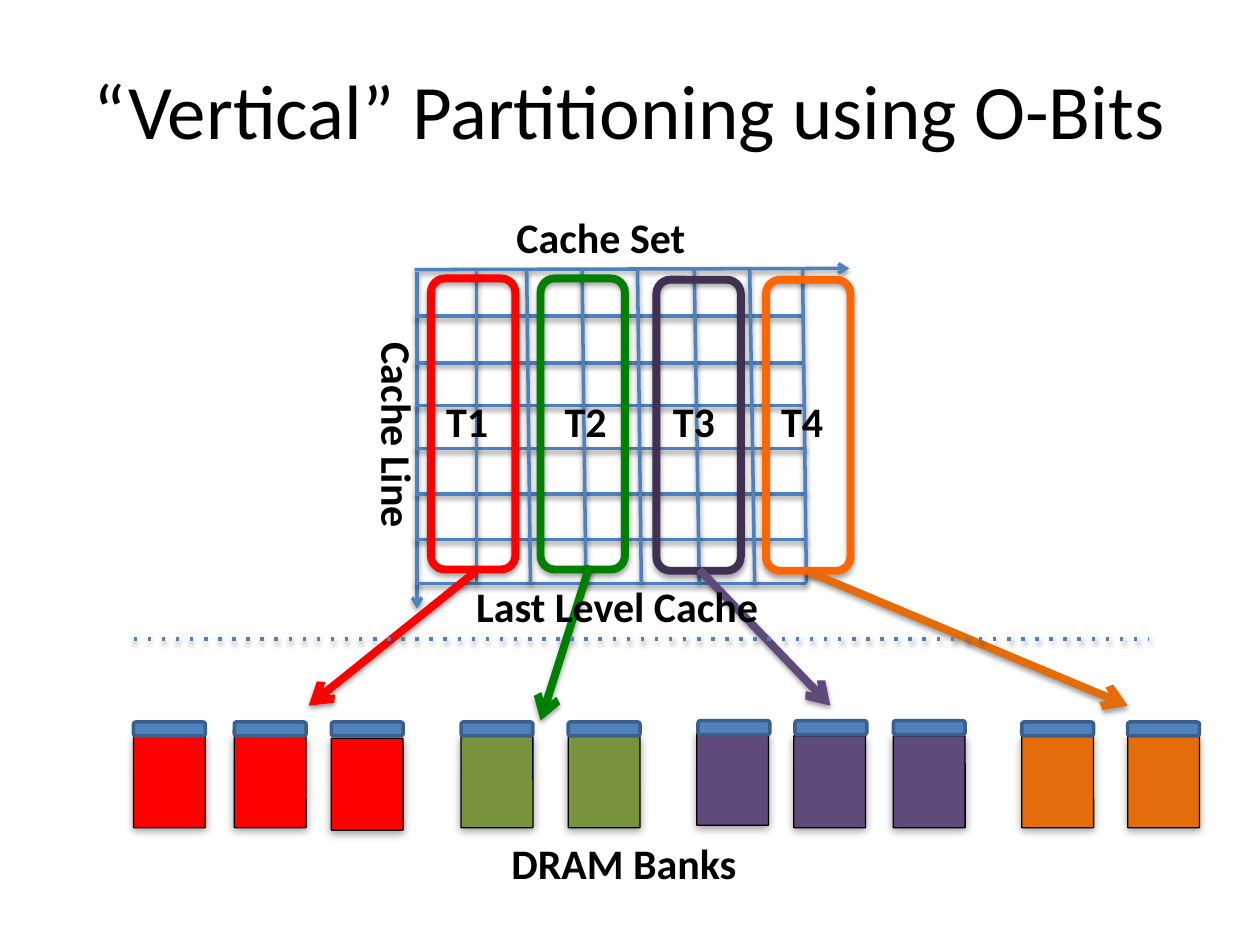
from dataclasses import dataclass
from typing import Optional

from lxml import etree
from pptx import Presentation
from pptx.dml.color import RGBColor
from pptx.enum.shapes import MSO_CONNECTOR, MSO_SHAPE
from pptx.enum.text import MSO_ANCHOR, PP_ALIGN
from pptx.oxml.ns import qn
from pptx.util import Emu, Pt

PX = 9144  # 100 px to the inch
STRAIGHT = MSO_CONNECTOR.STRAIGHT
ROUNDED = MSO_SHAPE.ROUNDED_RECTANGLE
CENTER = PP_ALIGN.CENTER
LEFT = PP_ALIGN.LEFT
MIDDLE = MSO_ANCHOR.MIDDLE
TOP = MSO_ANCHOR.TOP

FONT = "Calibri"
COLORS = {
    "black": "000000",
    "blue": "4F81BD",
    "lid_edge": "3A5F8C",
    "red": "FF0000",
    "green": "008000",
    "olive": "77933C",
    "plum": "403152",
    "purple": "604A7B",
    "orange": "FF6600",
    "rust": "E46C0A",
}


@dataclass
class Line:
    x1: int
    y1: int
    x2: int
    y2: int
    color: str = "blue"
    width: float = 2
    arrow: bool = False
    dash: Optional[str] = None


@dataclass
class Partition:
    x: int
    y: int
    color: str


@dataclass
class Bank:
    x: int
    color: str
    y: int = 584
    lid_x: Optional[int] = None
    lid_y: int = 573


@dataclass
class Label:
    text: str
    x: int
    y: int
    w: int
    h: int
    size: int = 24
    bold: bool = True
    align: PP_ALIGN = LEFT
    anchor: MSO_ANCHOR = TOP
    vert: Optional[str] = None
    inset: int = 10
    tabs: tuple[int, ...] = ()


def px(n: int) -> Emu:
    return Emu(n * PX)


def rgb(name: str) -> RGBColor:
    return RGBColor.from_string(COLORS[name])


def add_shadow(sp, alpha: int = 38, blur: float = 3.1, dist: float = 1.6) -> None:
    effects = sp._element.spPr.find(qn("a:effectLst"))
    if effects is None:
        effects = etree.SubElement(sp._element.spPr, qn("a:effectLst"))
    shadow = etree.SubElement(effects, qn("a:outerShdw"), blurRad=str(Pt(blur)),
                              dist=str(Pt(dist)), dir="5400000", rotWithShape="0")
    color = etree.SubElement(shadow, qn("a:srgbClr"), val=COLORS["black"])
    etree.SubElement(color, qn("a:alpha"), val=str(alpha * 1000))


def add_line(shapes, line: Line) -> None:
    sp = shapes.add_connector(STRAIGHT, px(line.x1), px(line.y1), px(line.x2), px(line.y2))
    sp.line.color.rgb = rgb(line.color)
    sp.line.width = Pt(line.width)
    ln = sp._element.spPr.find(qn("a:ln"))
    if line.dash:
        etree.SubElement(ln, qn("a:prstDash"), val=line.dash)
    if line.arrow:
        etree.SubElement(ln, qn("a:tailEnd"), type="arrow")
    add_shadow(sp)


def add_box(shapes, x: int, y: int, w: int, h: int, fill: Optional[str],
            edge: str, width: float):
    sp = shapes.add_shape(ROUNDED, px(x), px(y), px(w), px(h))
    sp.shadow.inherit = False
    if fill:
        sp.fill.solid()
        sp.fill.fore_color.rgb = rgb(fill)
    else:
        sp.fill.background()
    sp.line.color.rgb = rgb(edge)
    sp.line.width = Pt(width)
    return sp


def add_partition(shapes, part: Partition) -> None:
    sp = add_box(shapes, part.x, part.y, 67, 231, None, part.color, 4.5)
    add_shadow(sp, alpha=35, dist=1.8)


def add_bank(shapes, bank: Bank) -> None:
    body = add_box(shapes, bank.x, bank.y, 57, 73, bank.color, "black", 0.75)
    body.adjustments[0] = 0.01
    add_shadow(body, blur=5)
    add_box(shapes, bank.lid_x or bank.x, bank.lid_y, 57, 11, "blue", "lid_edge", 2)


def add_label(shapes, label: Label) -> None:
    sp = shapes.add_textbox(px(label.x), px(label.y), px(label.w), px(label.h))
    tf = sp.text_frame
    tf.word_wrap = True
    tf.vertical_anchor = label.anchor
    tf.margin_left = px(label.inset)
    if label.vert:
        tf._txBody.bodyPr.set("vert", label.vert)
    p = tf.paragraphs[0]
    p.text = label.text
    p.alignment = label.align
    p.font.name = FONT
    p.font.size = Pt(label.size)
    p.font.bold = label.bold
    p.font.color.rgb = rgb("black")
    if label.tabs:
        tab_list = etree.Element(qn("a:tabLst"))
        for pos in label.tabs:
            etree.SubElement(tab_list, qn("a:tab"), pos=str(px(pos)), algn="l")
        p._p.get_or_add_pPr().insert(0, tab_list)


# Cache grid: axes, rows (y, right end) and columns (top x, bottom x)
AXES = [Line(329, 214, 674, 213, arrow=True), Line(331, 216, 331, 483, arrow=True)]
ROWS = [(251, 637), (288, 637), (322, 637), (356, 640), (392, 640), (428, 640), (463, 640)]
COLUMNS = [(378, 378), (418, 421), (462, 465), (506, 509), (551, 555), (595, 599), (637, 640)]
GRID = (AXES + [Line(329, y, right, y) for y, right in ROWS]
        + [Line(top, 214, bottom, 463) for top, bottom in COLUMNS])

PARTITIONS = [
    Partition(342, 221, "red"),
    Partition(429, 221, "green"),
    Partition(521, 222, "plum"),
    Partition(608, 222, "orange"),
]

BANKS = [
    Bank(106, "red"),
    Bank(186, "red"),
    Bank(263, "red", y=586),
    Bank(366, "olive"),
    Bank(451, "olive"),
    Bank(553, "purple", y=582, lid_x=554, lid_y=572),
    Bank(630, "purple", lid_x=631, lid_y=572),
    Bank(709, "purple", lid_y=572),
    Bank(811, "rust"),
    Bank(895, "rust"),
]

# Arrows from each partition to its banks
MAPPINGS = [
    Line(377, 454, 245, 560, "red", 4.5, arrow=True),
    Line(468, 449, 429, 572, "green", 4.5, arrow=True),
    Line(555, 452, 659, 560, "purple", 4.5, arrow=True),
    Line(642, 454, 895, 560, "rust", 4.5, arrow=True),
]
DIVIDER = Line(106, 507, 912, 507, dash="dot")

LABELS = [
    Label("“Vertical” Partitioning using O-Bits", 50, 24, 900, 125, size=44,
          bold=False, align=CENTER, anchor=MIDDLE),
    Label("Cache Set", 400, 163, 216, 50),
    Label("Cache Line", 280, 262, 61, 187, vert="eaVert"),
    Label("DRAM Banks", 396, 660, 219, 50),
    Label("T1\tT2\tT3\tT4", 337, 309, 421, 50, inset=17, tabs=(94, 180, 266)),
    Label("Last Level Cache", 368, 456, 291, 50),
]


def main() -> None:
    prs = Presentation()
    prs.slide_width, prs.slide_height = px(1000), px(750)
    shapes = prs.slides.add_slide(prs.slide_layouts[6]).shapes

    for line in GRID:
        add_line(shapes, line)
    for part in PARTITIONS:
        add_partition(shapes, part)
    for bank in BANKS:
        add_bank(shapes, bank)
    for line in MAPPINGS + [DIVIDER]:
        add_line(shapes, line)
    for label in LABELS:
        add_label(shapes, label)

    prs.save("out.pptx")


if __name__ == "__main__":
    main()
